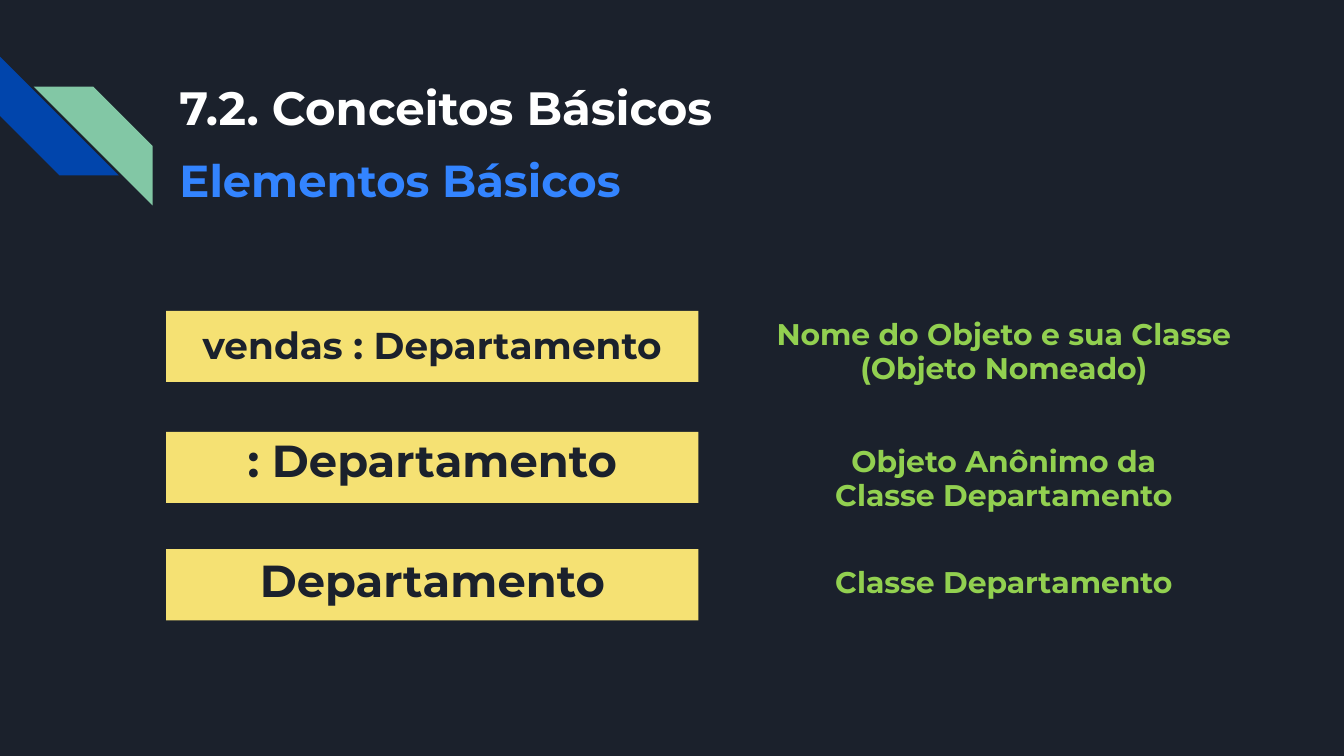
"""Build the slide on basic object notation, on a grid of tenth-of-an-inch cells."""
from pptx import Presentation
from pptx.dml.color import RGBColor
from pptx.enum.shapes import MSO_SHAPE as Shape
from pptx.enum.text import MSO_ANCHOR as Anchor, PP_ALIGN as Align
from pptx.util import Inches, Pt

NAVY = RGBColor(0x1B, 0x21, 0x2C)
DEEP_BLUE = RGBColor(0x01, 0x45, 0xAC)
MINT = RGBColor(0x82, 0xC7, 0xA5)
WHITE = RGBColor(0xFF, 0xFF, 0xFF)
BLUE = RGBColor(0x33, 0x84, 0xFF)
YELLOW = RGBColor(0xF5, 0xE1, 0x73)
GREEN = RGBColor(0x92, 0xD0, 0x50)

FONT = "Montserrat"
COLUMNS, ROWS = 100, 56.25
CELL = Inches(0.1)
LEFT, BOX_WIDTH = 12.37, 39.6
NOTE_LEFT, NOTE_WIDTH = 56.6, 36.2
BOX_HEIGHT, TEXT_HEIGHT = 5.3, 6.2
STRIPE_SIZE = 8.85

EXAMPLES = [
    (23.13, 23.2, 20, "vendas : Departamento",
     22.7, ["Nome do Objeto e sua Classe", "(Objeto Nomeado)"]),
    (32.13, 31.5, 24, ": Departamento",
     32.14, ["Objeto Anônimo da", "Classe Departamento"]),
    (40.87, 40.4, 24, "Departamento",
     41.1, ["Classe Departamento"]),
]


def grid(*cells):
    return [round(cell * CELL) for cell in cells]


def add_filled(slide, kind, left, top, width, height, color, rotation=0):
    shape = slide.shapes.add_shape(kind, *grid(left, top, width, height))
    shape.shadow.inherit = False
    shape.fill.solid()
    shape.fill.fore_color.rgb = color
    shape.line.fill.background()
    shape.rotation = rotation


def add_text(slide, left, top, width, height, lines, size, color,
             align=Align.CENTER, spacing=0.95):
    frame = slide.shapes.add_textbox(*grid(left, top, width, height)).text_frame
    frame.word_wrap = True
    frame.vertical_anchor = Anchor.TOP
    frame.margin_left = frame.margin_right = CELL
    frame.margin_top = frame.margin_bottom = CELL
    for index, line in enumerate(lines):
        paragraph = frame.add_paragraph() if index else frame.paragraphs[0]
        paragraph.alignment = align
        paragraph.line_spacing = spacing
        run = paragraph.add_run()
        run.text = line
        run.font.name = FONT
        run.font.size = Pt(size)
        run.font.bold = True
        run.font.color.rgb = color


def add_heading(slide):
    add_filled(slide, Shape.DIAGONAL_STRIPE, 0, 4.2, STRIPE_SIZE, STRIPE_SIZE,
               DEEP_BLUE, 270)
    add_filled(slide, Shape.DIAGONAL_STRIPE, 2.5, 6.44, STRIPE_SIZE, STRIPE_SIZE,
               MINT, 90)
    add_text(slide, LEFT, 4.84, 50.4, 4.7, ["7.2. Conceitos Básicos"], 25, WHITE,
             Align.LEFT, 1.0)
    add_text(slide, LEFT, 10.65, BOX_WIDTH, TEXT_HEIGHT, ["Elementos Básicos"],
             24, BLUE, Align.JUSTIFY)


def add_example(slide, box_top, name_top, name_size, name, note_top, note):
    add_filled(slide, Shape.RECTANGLE, LEFT, box_top, BOX_WIDTH, BOX_HEIGHT, YELLOW)
    add_text(slide, LEFT, name_top, BOX_WIDTH, TEXT_HEIGHT, [name], name_size, NAVY)
    add_text(slide, NOTE_LEFT, note_top, NOTE_WIDTH, TEXT_HEIGHT, note, 16, GREEN)


def main():
    presentation = Presentation()
    presentation.slide_width, presentation.slide_height = grid(COLUMNS, ROWS)
    slide = presentation.slides.add_slide(presentation.slide_layouts[6])
    slide.background.fill.solid()
    slide.background.fill.fore_color.rgb = NAVY
    add_heading(slide)
    for example in EXAMPLES:
        add_example(slide, *example)
    presentation.save("out.pptx")


if __name__ == "__main__":
    main()
